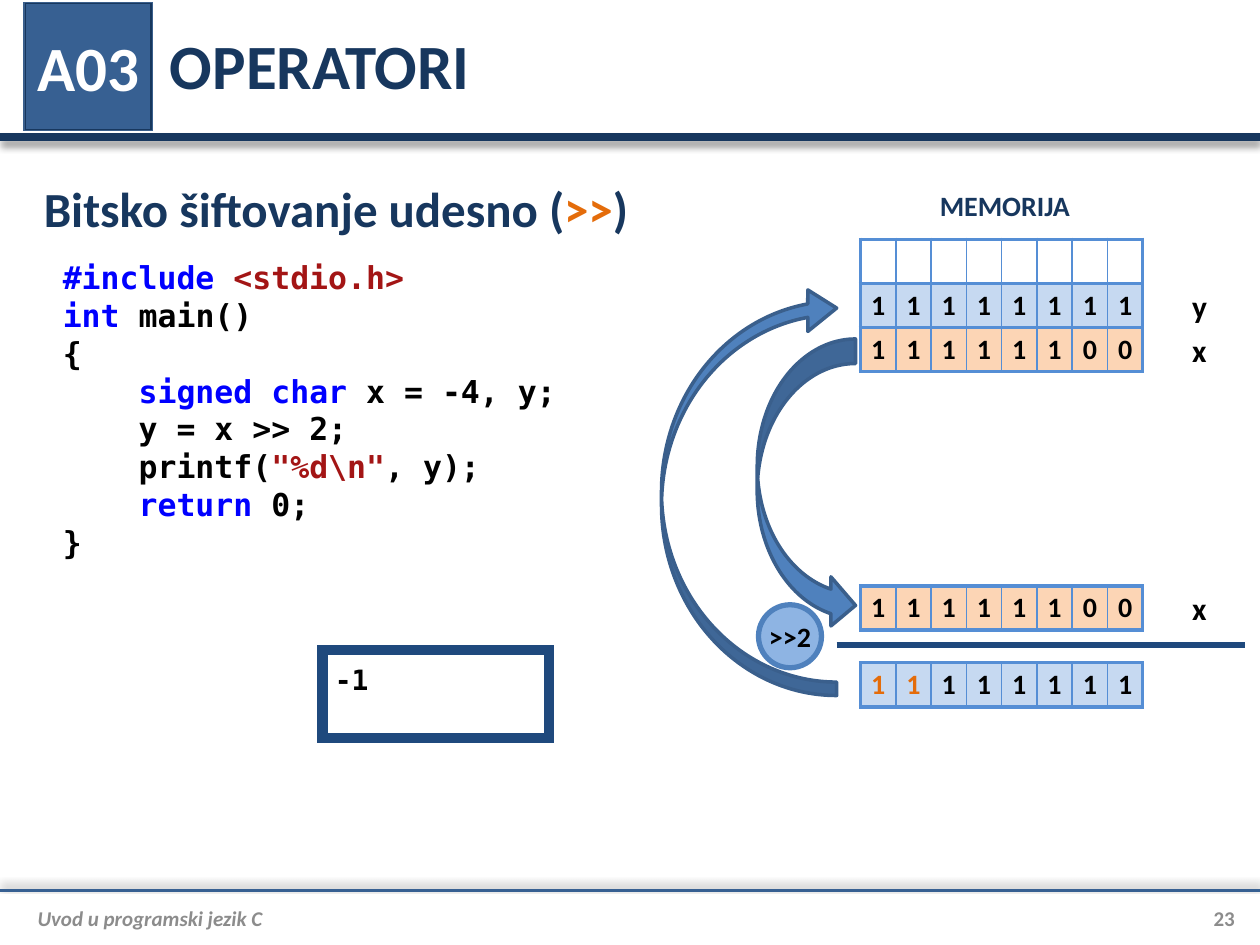
from lxml import etree
from pptx import Presentation
from pptx.dml.color import RGBColor
from pptx.enum.shapes import MSO_CONNECTOR, MSO_SHAPE
from pptx.enum.text import MSO_ANCHOR, PP_ALIGN
from pptx.oxml import parse_xml
from pptx.oxml.ns import nsdecls, qn
from pptx.util import Inches, Pt

LEFT, MID, RIGHT = PP_ALIGN.LEFT, PP_ALIGN.CENTER, PP_ALIGN.RIGHT
TOP, CENTER = MSO_ANCHOR.TOP, MSO_ANCHOR.MIDDLE
STRAIGHT = MSO_CONNECTOR.STRAIGHT
RECT, OVAL = MSO_SHAPE.RECTANGLE, MSO_SHAPE.OVAL
DOWN, UP = MSO_SHAPE.CURVED_RIGHT_ARROW, MSO_SHAPE.CURVED_LEFT_ARROW
SANS, MONO = "Calibri", "DejaVu Sans Mono"
INSET, FLUSH = (0.1, 0.05, 0.1, 0.05), (0, 0, 0, 0)
PLAIN = "{2D5ABB26-0587-4C30-8999-92F81FD0307C}"
COLORS = {
    "navy": "17375E", "steel": "376092", "deep": "1F497D", "blue": "4F81BD",
    "edge": "3A5F8C", "grid": "558ED5", "sky": "8EB4E3", "pale": "C6D9F1",
    "peach": "FCD5B5", "orange": "E46C0A", "gray": "8C8C8C", "white": "FFFFFF",
    "black": "000000", "key": "0000FF", "string": "A31515",
}
CODE = [
    [("#include", "key"), " ", ("<stdio.h>", "string")],
    [("int", "key"), " main()"],
    ["{"],
    [("    signed", "key"), " ", ("char", "key"), " x = -4, y;"],
    ["    y = x >> 2;"],
    ["    printf(", ('"%d\\n"', "string"), ", y);"],
    [("    return", "key"), " 0;"],
    ["}"],
]
STEP, ROW = 0.28, 0.35
BLANK, ONES, FOUR = " " * 8, "11111111", "11111100"


def rgb(name):
    """Return the named colour."""
    return RGBColor.from_string(COLORS[name])


def write(holder, lines, size=16, color="black", font=SANS, align=LEFT,
          anchor=CENTER, inset=INSET, italic=False):
    """Fill a text frame with lines made of plain or (text, colour) runs."""
    frame = holder.text_frame
    frame.word_wrap = True
    frame.vertical_anchor = anchor
    (frame.margin_left, frame.margin_top,
     frame.margin_right, frame.margin_bottom) = map(Inches, inset)
    for index, line in enumerate(lines):
        para = frame.add_paragraph() if index else frame.paragraphs[0]
        para.alignment = align
        for part in line:
            words, tint = (part, color) if isinstance(part, str) else part
            run = para.add_run()
            run.text = words
            face = run.font
            face.name, face.size, face.bold, face.italic = font, Pt(size), True, italic
            face.color.rgb = rgb(tint)


def label(slide, x, y, w, h, words, **form):
    """Add a text box."""
    box = slide.shapes.add_textbox(Inches(x), Inches(y), Inches(w), Inches(h))
    write(box, words if isinstance(words, list) else [[words]], **form)


def shape(slide, kind, x, y, w, h, fill, edge, width):
    """Add a preset shape with a flat fill and an outline."""
    item = slide.shapes.add_shape(kind, Inches(x), Inches(y), Inches(w), Inches(h))
    item.shadow.inherit = False
    item.fill.solid()
    item.fill.fore_color.rgb = rgb(fill)
    item.line.color.rgb = rgb(edge)
    item.line.width = Pt(width)
    if kind == RECT:
        etree.SubElement(item._element.spPr.find(qn("a:ln")), qn("a:miter"), lim="800000")
    return item


def rule(slide, x, y, w, color, width, angle=None):
    """Add a level line, with a soft shadow when an angle is given."""
    line = slide.shapes.add_connector(STRAIGHT, Inches(x), Inches(y), Inches(x + w), Inches(y))
    line.line.color.rgb = rgb(color)
    line.line.width = Pt(width)
    effects = etree.SubElement(line._element.spPr, qn("a:effectLst"))
    if angle is not None:
        effects.append(parse_xml(
            f'<a:outerShdw {nsdecls("a")} blurRad="{Pt(4)}" dist="{Pt(3)}" '
            f'dir="{angle * 60000}" algn="t" rotWithShape="0">'
            '<a:srgbClr val="000000"><a:alpha val="40000"/></a:srgbClr></a:outerShdw>'))


def border(cell, first, last):
    """Draw cell borders, heavy on the outer sides of the row."""
    widths = {"L": 2.25 if first else 1, "R": 2.25 if last else 1, "T": 2.25, "B": 2.25}
    for index, (side, width) in enumerate(widths.items()):
        cell._tc.get_or_add_tcPr().insert(index, parse_xml(
            f'<a:ln{side} {nsdecls("a")} w="{Pt(width)}"><a:solidFill>'
            f'<a:srgbClr val="{COLORS["grid"]}"/></a:solidFill></a:ln{side}>'))


def grid(slide, x, y, bits=BLANK, fill=None, count=1, marks=0, framed=True):
    """Add a table of bytes, with the first bits marked."""
    table = slide.shapes.add_table(count, 8, Inches(x), Inches(y),
                                   Inches(8 * STEP), Inches(count * ROW)).table
    table.first_row = table.horz_banding = False
    table._tbl.tblPr.find(qn("a:tableStyleId")).text = PLAIN
    for col in table.columns:
        col.width = Inches(STEP)
    for line in table.rows:
        line.height = Inches(ROW)
        for index, (cell, bit) in enumerate(zip(line.cells, bits)):
            cell.vertical_anchor = CENTER
            cell.margin_left = cell.margin_right = cell.margin_top = cell.margin_bottom = 0
            cell.fill.background()
            if fill:
                cell.fill.solid()
                cell.fill.fore_color.rgb = rgb(fill)
            if framed:
                border(cell, index == 0, index == 7)
            if bit.strip():
                write(cell, [[bit]], align=MID, inset=FLUSH,
                      color="orange" if index < marks else "black")


def header(slide, x, y, w, h):
    """Place the chapter badge, title and rule."""
    rule(slide, x, y + h, w, "navy", 4.5, 90)
    shape(slide, RECT, x + 0.2, y + 0.03, 1, 1, "blue", "edge", 2)
    label(slide, x + 1.25, y + 0.01, w - 1.45, 1, "OPERATORI", size=36, color="navy")
    badge = shape(slide, RECT, x + 0.2, y + 0.03, 1, 1, "steel", "navy", 0.75)
    write(badge, [["A03"]], size=36, color="white", align=MID, inset=FLUSH)


def footer(slide, x, y, w, h):
    """Place the footer rule, course name and page number."""
    rule(slide, x, y, w, "steel", 1.5, 270)
    label(slide, x + 0.2, y + 0.04, w - 0.9, h, "Uvod u programski jezik C",
          size=12, color="gray", italic=True, inset=(0.1, 0, 0, 0))
    label(slide, x + w - 0.7, y + 0.04, 0.5, h, "23", size=12, color="gray",
          align=RIGHT, inset=FLUSH)


def program(slide, x, y, w, h):
    """Place the heading, the code and its output."""
    label(slide, x, y, w, 0.5, [["Bitsko šiftovanje udesno (", (">>", "orange"), ")"]],
          size=28, color="navy")
    label(slide, x + 0.15, y + 0.6, 5, 2.52, CODE, size=18, font=MONO, anchor=TOP)
    screen = shape(slide, RECT, x + 2.31, y + h - 0.7, 1.8, 0.7, "white", "deep", 6)
    write(screen, [["-1"]], font=MONO, anchor=TOP, inset=(0.1, 0.1, 0.1, 0.1))


def memory(slide, x, y, w, h):
    """Place the memory, the shifted bytes and the arrows between them."""
    left, top, low = x + 1.58, y + 0.45, y + 3.2
    mid, base = top + ROW, top + 2 * ROW
    grid(slide, left, top, count=3)
    grid(slide, left, base, fill="peach")
    grid(slide, left, base, FOUR, framed=False)
    for name, place in (("x", base), ("y", mid), ("x", low)):
        label(slide, x + w - 0.76, place, 0.8, ROW, name, size=18, align=MID)
    label(slide, left + 0.4, y, 1.49, 0.37, "MEMORIJA", color="navy", align=MID, anchor=TOP)
    grid(slide, left, mid, fill="pale")
    grid(slide, left, low, FOUR, "peach")
    grid(slide, left, mid, ONES, framed=False)
    shape(slide, DOWN, x + 0.76, y + 1.24, 0.78, 2.31, "blue", "edge", 2)
    mark = shape(slide, OVAL, x + 0.77, y + 3.35, 0.5, 0.5, "sky", "blue", 3)
    write(mark, [[">>2"]], align=MID, inset=FLUSH)
    rule(slide, x + 1.39, y + 3.67, w - 1.39, "deep", 3)
    grid(slide, left, y + h - ROW, ONES, "pale", marks=2)
    back = shape(slide, UP, x, y + 0.83, 1.39, 3.24, "blue", "edge", 2)
    back.rotation = 180
    for index, value in enumerate((0.077, 0.237, 0.165)):
        back.adjustments[index] = value


def main():
    """Build and save the slide."""
    deck = Presentation()
    deck.slide_width, deck.slide_height = Inches(10), Inches(7.5)
    slide = deck.slides.add_slide(deck.slide_layouts[6])
    header(slide, 0, 0, 10, 1.09)
    footer(slide, 0, 7.07, 10, 0.35)
    program(slide, 0.25, 1.4, 8.87, 4.46)
    memory(slide, 5.25, 1.45, 4.63, 4.16)
    deck.save("out.pptx")


if __name__ == "__main__":
    main()
